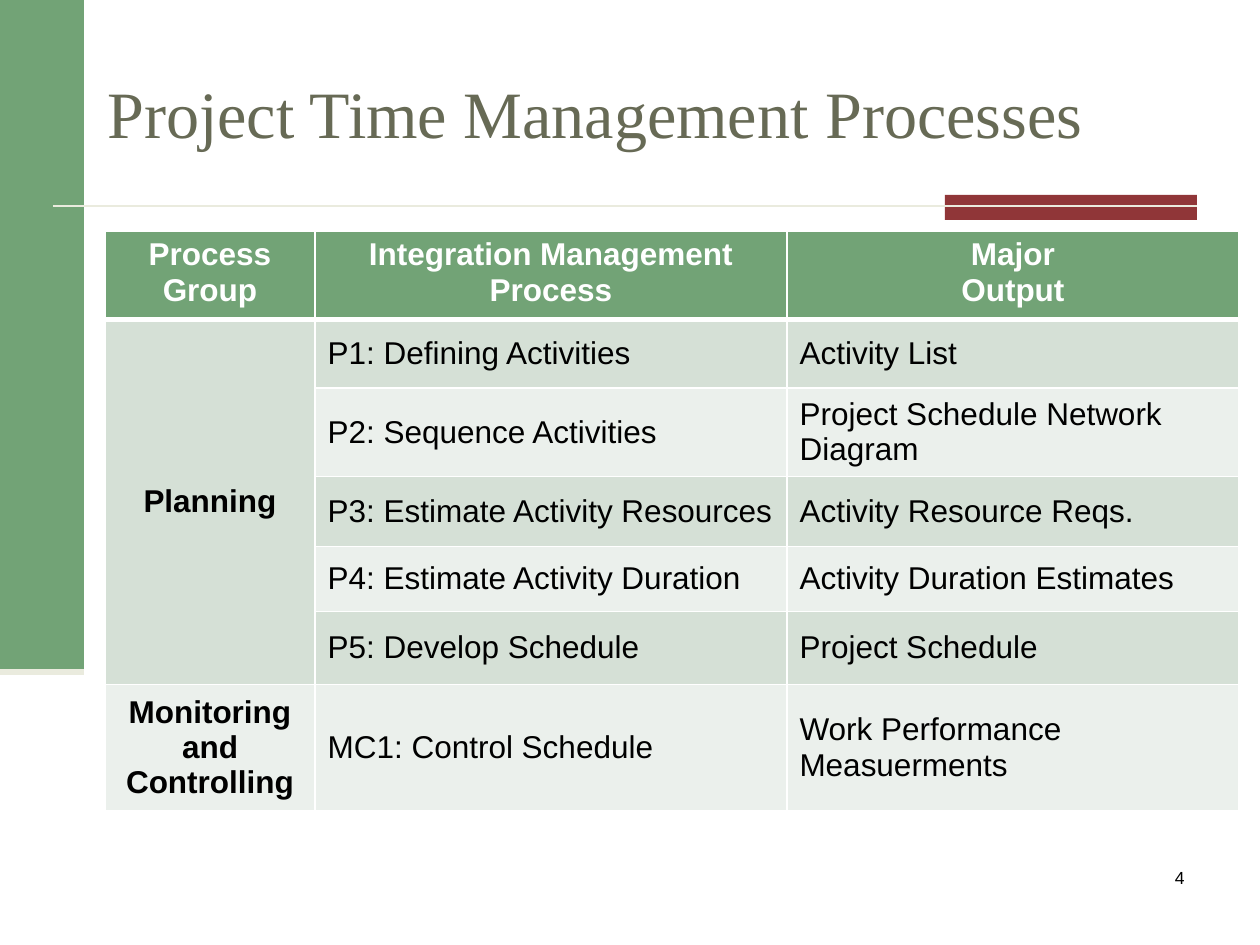
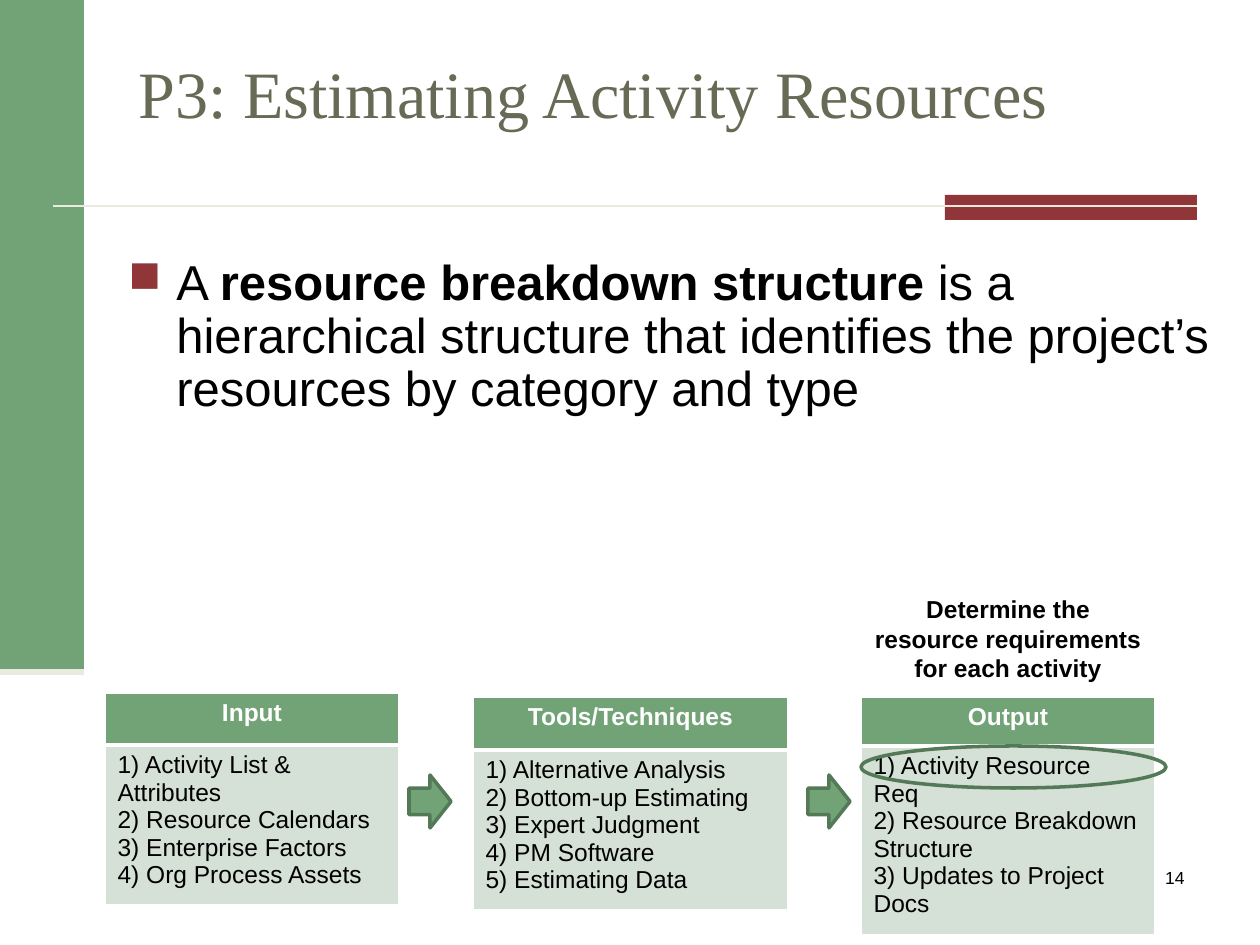
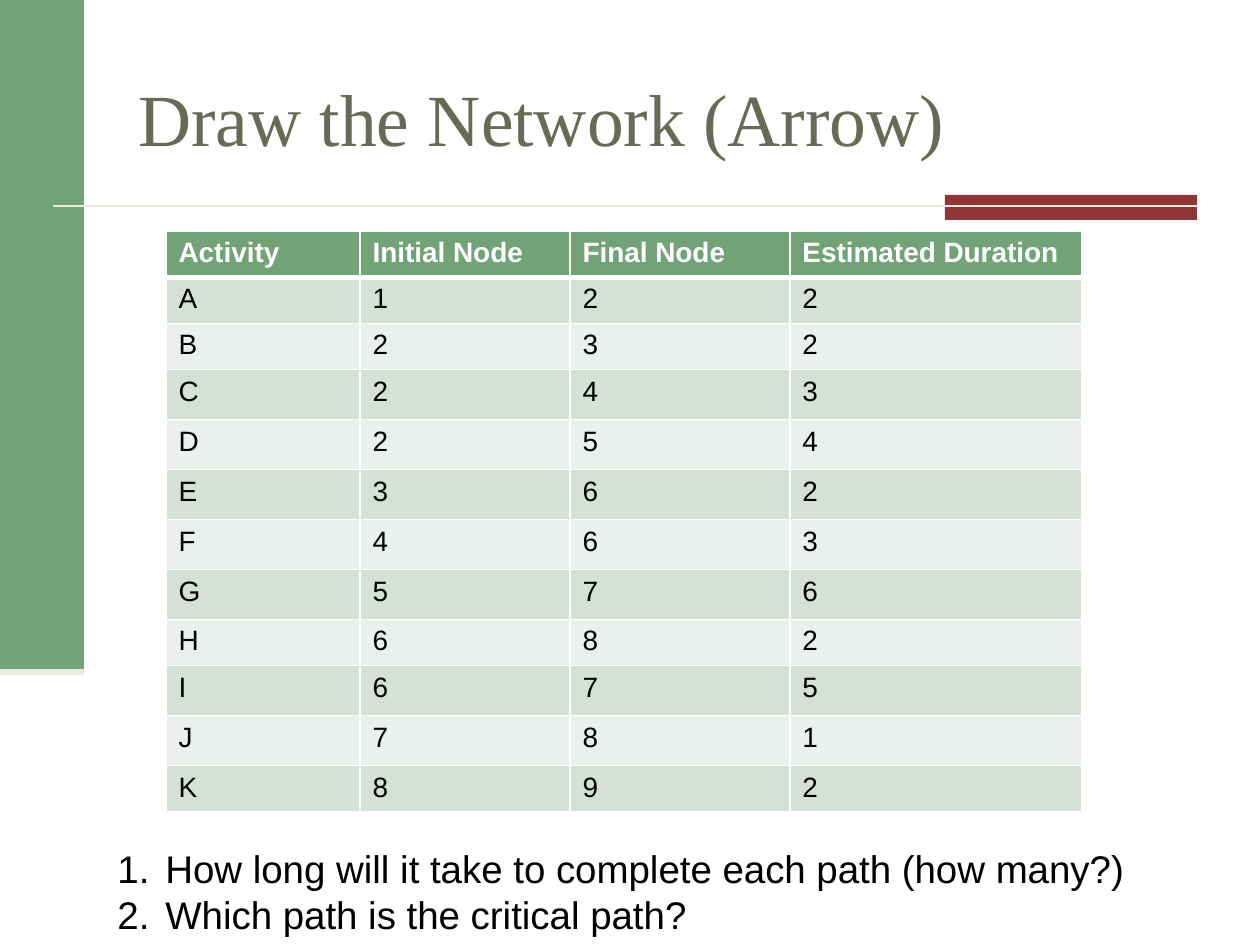
"""Build three slides on project time management."""
import dataclasses

import lxml.etree
import pptx
import pptx.dml.color
import pptx.enum.shapes
import pptx.enum.text
import pptx.oxml.ns
import pptx.util

SHAPES = pptx.enum.shapes.MSO_SHAPE
ALIGN = pptx.enum.text.PP_ALIGN
ANCHOR = pptx.enum.text.MSO_ANCHOR
EMU_PER_PX = 914400 / 126


@dataclasses.dataclass(frozen=True)
class Theme:
    """Colours, fonts and type sizes of the deck."""

    green: str = "72A376"
    dark_green: str = "547957"
    red: str = "903638"
    cream: str = "EAEBDE"
    olive: str = "676A55"
    white: str = "FFFFFF"
    black: str = "000000"
    bands: tuple = ("D5E0D6", "EBF0EC")
    title_font: str = "Times New Roman"
    body_font: str = "Arial"
    title_size: float = 37.8
    large_title_size: float = 42
    body_size: float = 28
    question_size: float = 22
    process_size: float = 18
    activity_size: float = 16
    flow_size: float = 14
    number_size: float = 10


def px(length):
    """Turn whole pixels into EMU."""
    return pptx.util.Emu(round(length * EMU_PER_PX))


def rgb(colour):
    """Turn a hex string into a colour."""
    return pptx.dml.color.RGBColor.from_string(colour)


def add_xml(parent, tag, **attributes):
    """Append a DrawingML element to its parent."""
    return lxml.etree.SubElement(parent, pptx.oxml.ns.qn(tag), attributes)


class SlideBuilder:
    """Holds the style and the current slide."""

    def __init__(self, deck, theme):
        """Keep the deck and its theme."""
        self.deck = deck
        self.theme = theme
        self.page = None

    def start(self, title, title_box, title_size=None, number=None):
        """Add a slide with the shared bands, title and page number."""
        theme = self.theme
        self.page = self.deck.slides.add_slide(self.deck.slide_layouts[6])
        self.shape(SHAPES.RECTANGLE, (0, 0, 84, 672), fill=theme.green)
        self.shape(SHAPES.RECTANGLE, (945, 195, 252, 25), fill=theme.red)
        self.line((53, 206), (1197, 206), 1.5)
        self.line((0, 672), (84, 672), 3.5)
        self.text(title_box, [title], anchor=ANCHOR.MIDDLE, size=title_size or theme.title_size,
                  font=theme.title_font, colour=theme.olive)
        if number:
            self.text((935, 861, 262, 63), [str(number)], align=ALIGN.RIGHT,
                      size=theme.number_size)

    def shape(self, kind, area, fill=None, line=None):
        """Add a preset shape."""
        shape = self.page.shapes.add_shape(kind, *map(px, area))
        shape.shadow.inherit = False
        for part, colour in ((shape.fill, fill), (shape.line.fill, line)):
            if colour:
                part.solid()
                part.fore_color.rgb = rgb(colour)
            else:
                part.background()
        if line:
            shape.line.width = pptx.util.Pt(2)

    def line(self, start, end, width):
        """Add a straight cream line."""
        connector = self.page.shapes.add_connector(
            pptx.enum.shapes.MSO_CONNECTOR.STRAIGHT, *map(px, start + end))
        connector.line.color.rgb = rgb(self.theme.cream)
        connector.line.width = pptx.util.Pt(width)
        add_xml(connector._element.spPr, "a:effectLst")

    def fill_frame(self, frame, paragraphs, align=ALIGN.LEFT, size=18, font=None,
                   colour=None, bold=False):
        """Fill a frame with paragraphs of plain text or (text, bold) spans."""
        for index, content in enumerate(paragraphs):
            para = frame.paragraphs[0] if index == 0 else frame.add_paragraph()
            para.alignment = align
            for text, heavy in [(content, bold)] if isinstance(content, str) else content:
                span = para.add_run()
                span.text = text
                values = {"name": font or self.theme.body_font,
                          "size": pptx.util.Pt(size), "bold": heavy}
                for name, value in values.items():
                    setattr(span.font, name, value)
                span.font.color.rgb = rgb(colour or self.theme.black)

    def text(self, area, paragraphs, anchor=ANCHOR.TOP, **style):
        """Add a wrapping text box and return its paragraphs."""
        frame = self.page.shapes.add_textbox(*map(px, area)).text_frame
        for name, value in {"word_wrap": True, "vertical_anchor": anchor}.items():
            setattr(frame, name, value)
        self.fill_frame(frame, paragraphs, **style)
        return frame.paragraphs

    def hang(self, para):
        """Give a paragraph a hanging indent and return its properties."""
        properties = para._p.get_or_add_pPr()
        properties.set("marL", str(px(48)))
        properties.set("indent", str(-px(48)))
        return properties

    def bullets(self, area, paragraphs, size):
        """Add a list with square red bullets."""
        for para in self.text(area, paragraphs, size=size):
            para.line_spacing = 0.9
            para.space_before = pptx.util.Pt(size * 0.2)
            properties = self.hang(para)
            add_xml(add_xml(properties, "a:buClr"), "a:srgbClr", val=self.theme.red)
            add_xml(properties, "a:buSzPct", val="90000")
            add_xml(properties, "a:buChar", char="■")

    def numbered(self, area, paragraphs, size):
        """Add a numbered list."""
        for para in self.text(area, paragraphs, size=size):
            add_xml(self.hang(para), "a:buAutoNum", type="arabicPeriod")

    def borders(self, cell, row):
        """Draw white cell borders, thick below the header."""
        properties = cell._tc.get_or_add_tcPr()
        widths = {"L": 1, "R": 1, "T": 3 if row == 1 else 1, "B": 3 if row == 0 else 1}
        for index, (side, width) in enumerate(widths.items()):
            edge = add_xml(properties, f"a:ln{side}", w=str(pptx.util.Pt(width)))
            add_xml(add_xml(edge, "a:solidFill"), "a:srgbClr", val=self.theme.white)
            properties.insert(index, edge)

    def table(self, corner, columns, heights, rows, size, header_align=ALIGN.CENTER,
              anchor=ANCHOR.TOP, bold_first=False):
        """Add a banded table; each cell is a list of paragraphs."""
        theme = self.theme
        area = (*corner, sum(columns), sum(heights))
        table = self.page.shapes.add_table(len(rows), len(columns), *map(px, area)).table
        table.first_row = table.horz_banding = False
        for column, width in zip(table.columns, columns):
            column.width = px(width)
        for row, height in zip(table.rows, heights):
            row.height = px(height)
        for row, contents in enumerate(rows):
            header = row == 0
            for column, paragraphs in enumerate(contents):
                cell = table.cell(row, column)
                group = bold_first and column == 0
                cell.fill.solid()
                cell.fill.fore_color.rgb = rgb(theme.green if header else theme.bands[(row - 1) % 2])
                cell.vertical_anchor = ANCHOR.TOP if header else anchor
                self.borders(cell, row)
                align = header_align if header else ALIGN.CENTER if group else ALIGN.LEFT
                self.fill_frame(cell.text_frame, paragraphs, align=align, size=size,
                                colour=theme.white if header else theme.black,
                                bold=header or group)
        return table


def build_processes(builder):
    """Build the table of time management processes."""
    builder.start("Project Time Management Processes", (95, 73, 1197, 78), number=4)
    rows = [
        (["Process Group"], ["Integration Management Process"], ["Major", "Output"]),
        (["Planning"], ["P1: Defining Activities"], ["Activity List"]),
        ([], ["P2: Sequence Activities"], ["Project Schedule Network Diagram"]),
        ([], ["P3: Estimate Activity Resources"], ["Activity Resource Reqs."]),
        ([], ["P4: Estimate Activity Duration"], ["Activity Duration Estimates"]),
        ([], ["P5: Develop Schedule"], ["Project Schedule"]),
        (["Monitoring and Controlling"], ["MC1: Control Schedule"],
         ["Work Performance Measuerments"]),
    ]
    table = builder.table((105, 231), (210, 472, 452), (83, 69, 83, 70, 65, 73, 118), rows,
                          builder.theme.process_size, anchor=ANCHOR.MIDDLE, bold_first=True)
    table.cell(1, 0).merge(table.cell(5, 0))


def build_resources(builder):
    """Build the resource estimate with its input, tools and output flow."""
    theme = builder.theme
    builder.start("P3: Estimating Activity Resources", (126, 48, 1144, 88), number=14)
    definition = [("A ", False), ("resource breakdown structure ", True),
                  ("is a hierarchical structure that identifies the project’s "
                   "resources by category and type", False)]
    builder.bullets((116, 252, 1144, 525), [definition], theme.body_size)
    steps = [
        ("Input", (105, 693), 294, (52, 149),
         ["Activity List & Attributes", "Resource Calendars", "Enterprise Factors",
          "Org Process Assets"]),
        ("Tools/Techniques", (473, 697), 315, (53, 148),
         ["Alternative Analysis", "Bottom-up Estimating", "Expert Judgment",
          "PM Software", "Estimating Data"]),
        ("Output", (861, 697), 294, (49, 177),
         ["Activity Resource Req", "Resource Breakdown Structure",
          "Updates to Project Docs"]),
    ]
    for name, corner, width, heights, items in steps:
        numbered = [f"{number}) {item}" for number, item in enumerate(items, 1)]
        builder.table(corner, (width,), heights, [([name],), (numbered,)], theme.flow_size)
    for left in (409, 808):
        builder.shape(SHAPES.RIGHT_ARROW, (left, 775, 42, 53), theme.green, theme.dark_green)
    builder.shape(SHAPES.OVAL, (861, 746, 305, 42), line=theme.dark_green)
    builder.text((861, 588, 294, 102),
                 ["Determine the resource requirements for each activity"],
                 align=ALIGN.CENTER, size=theme.flow_size, bold=True)


def build_network(builder):
    """Build the activity table and the questions on its paths."""
    theme = builder.theme
    builder.start("Draw the Network (Arrow)", (126, 38, 1071, 158), theme.large_title_size)
    activities = ["A122", "B232", "C243", "D254", "E362", "F463",
                  "G576", "H682", "I675", "J781", "K892"]
    header = ("Activity", "Initial Node", "Final Node", "Estimated Duration")
    rows = [[[value] for value in row] for row in (header, *activities)]
    heights = (43, 44, 44, 50, 50, 50, 50, 50, 44, 50, 50, 44)
    builder.table((166, 231), (194, 210, 220, 292), heights, rows, theme.activity_size,
                  header_align=ALIGN.LEFT)
    builder.numbered((105, 839, 1071, 106),
                     ["How long will it take to complete each path (how many?)",
                      "Which path is the critical path?"], theme.question_size)


def main():
    """Build and save the deck."""
    deck = pptx.Presentation()
    deck.slide_width, deck.slide_height = px(1260), px(945)
    builder = SlideBuilder(deck, Theme())
    for build in (build_processes, build_resources, build_network):
        build(builder)
    deck.save("out.pptx")


if __name__ == "__main__":
    main()
